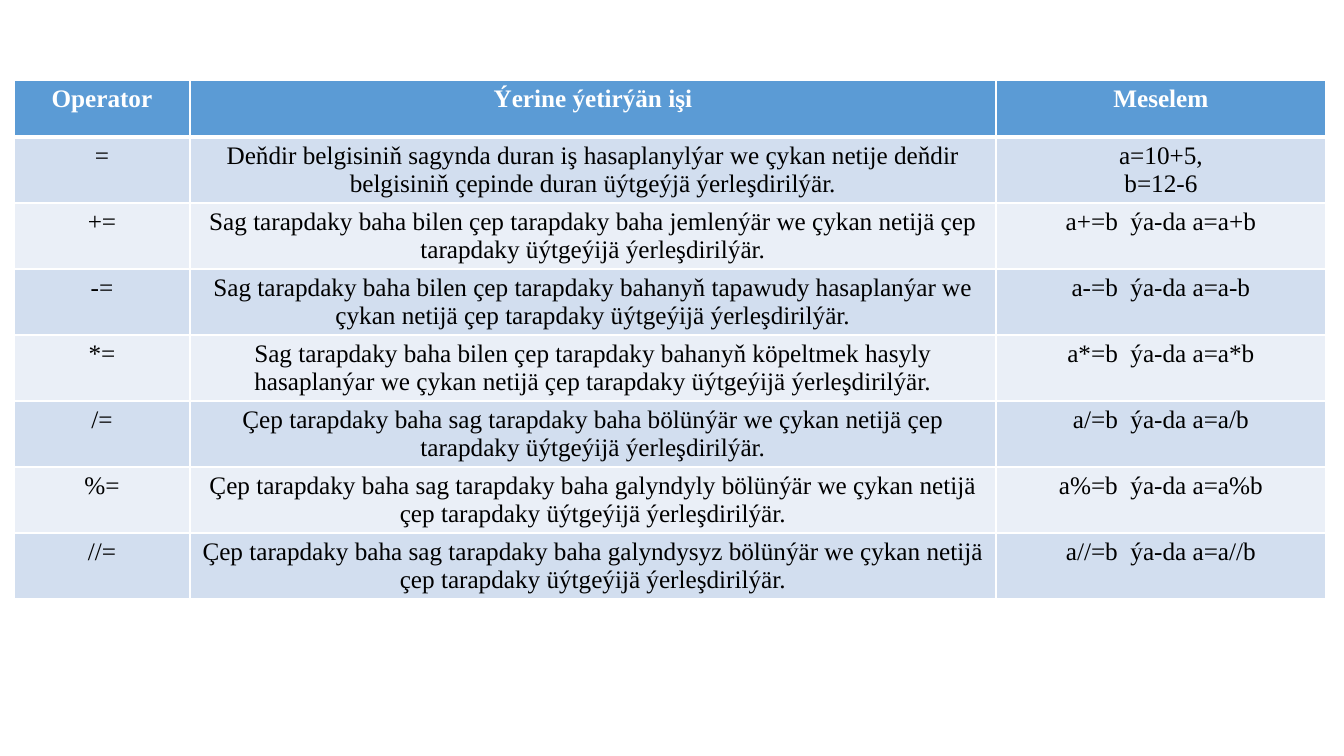
"""Builds a slide with a table of assignment operators."""
from lxml import etree
from pptx import Presentation
from pptx.dml.color import RGBColor
from pptx.enum.text import PP_ALIGN
from pptx.oxml.ns import qn
from pptx.util import Pt

HEADINGS = ("Operator", "Ýerine ýetirýän işi", "Meselem")
OPERATORS = [
    ("=", "Deňdir belgisiniň sagynda duran iş hasaplanylýar we çykan netije deňdir "
          "belgisiniň çepinde duran üýtgeýjä ýerleşdirilýär.", "a=10+5,\nb=12-6"),
    ("+=", "Sag tarapdaky baha bilen çep tarapdaky baha jemlenýär we çykan netijä çep "
           "tarapdaky üýtgeýijä ýerleşdirilýär.", "a+=b  ýa-da a=a+b"),
    ("-=", "Sag tarapdaky baha bilen çep tarapdaky bahanyň tapawudy hasaplanýar we "
           "çykan netijä çep tarapdaky üýtgeýijä ýerleşdirilýär.", "a-=b  ýa-da a=a-b"),
    ("*=", "Sag tarapdaky baha bilen çep tarapdaky bahanyň köpeltmek hasyly "
           "hasaplanýar we çykan netijä çep tarapdaky üýtgeýijä ýerleşdirilýär.",
     "a*=b  ýa-da a=a*b"),
    ("/=", "Çep tarapdaky baha sag tarapdaky baha bölünýär we çykan netijä çep "
           "tarapdaky üýtgeýijä ýerleşdirilýär.", "a/=b  ýa-da a=a/b"),
    ("%=", "Çep tarapdaky baha sag tarapdaky baha galyndyly bölünýär we çykan netijä "
           "çep tarapdaky üýtgeýijä ýerleşdirilýär.", "a%=b  ýa-da a=a%b"),
    ("//=", "Çep tarapdaky baha sag tarapdaky baha galyndysyz bölünýär we çykan netijä "
            "çep tarapdaky üýtgeýijä ýerleşdirilýär.", "a//=b  ýa-da a=a//b"),
]
COLORS = {"heading": "5B9BD5", "odd": "D2DEEF", "even": "EAEFF7",
          "white": "FFFFFF", "black": "000000"}
SLIDE_WIDTH, SLIDE_HEIGHT = 1344, 756
LEFT, TOP = 14, 80
COLUMN_WIDTHS = (176, 806, 330)
HEADING_HEIGHT, OPERATOR_HEIGHT = 57, 66
THIN, THICK = 1, 3
BLANK_LAYOUT = 6
CENTER = PP_ALIGN.CENTER


def px(length):
    return round(length * 914400 / 100.8)


def color(name):
    return RGBColor.from_string(COLORS[name])


def set_borders(cell, row):
    widths = {"a:lnL": THIN, "a:lnR": THIN,
              "a:lnT": THICK if row == 1 else THIN,
              "a:lnB": THICK if row == 0 else THIN}
    properties = cell._tc.get_or_add_tcPr()
    for position, (side, width) in enumerate(widths.items()):
        border = etree.Element(qn(side), w=str(Pt(width)))
        fill = etree.SubElement(border, qn("a:solidFill"))
        etree.SubElement(fill, qn("a:srgbClr"), val=COLORS["white"])
        properties.insert(position, border)


def fill_cell(cell, text, row):
    heading = row == 0
    shade = "heading" if heading else "odd" if row % 2 else "even"
    cell.fill.solid()
    cell.fill.fore_color.rgb = color(shade)
    set_borders(cell, row)
    cell.text = text
    letters = {"name": "Times New Roman", "size": Pt(18), "bold": heading}
    for paragraph in cell.text_frame.paragraphs:
        paragraph.alignment = CENTER
        for run in paragraph.runs:
            for attribute, value in letters.items():
                setattr(run.font, attribute, value)
            run.font.color.rgb = color("white" if heading else "black")


def main():
    deck = Presentation()
    deck.slide_width, deck.slide_height = px(SLIDE_WIDTH), px(SLIDE_HEIGHT)
    slide = deck.slides.add_slide(deck.slide_layouts[BLANK_LAYOUT])
    content = [HEADINGS, *OPERATORS]
    heights = [HEADING_HEIGHT] + [OPERATOR_HEIGHT] * len(OPERATORS)
    operators = slide.shapes.add_table(
        len(content), len(HEADINGS), px(LEFT), px(TOP),
        px(sum(COLUMN_WIDTHS)), px(sum(heights))).table
    for column, width in zip(operators.columns, COLUMN_WIDTHS):
        column.width = px(width)
    for row, (texts, height) in enumerate(zip(content, heights)):
        operators.rows[row].height = px(height)
        for column, text in enumerate(texts):
            fill_cell(operators.cell(row, column), text, row)
    deck.save("out.pptx")


if __name__ == "__main__":
    main()
